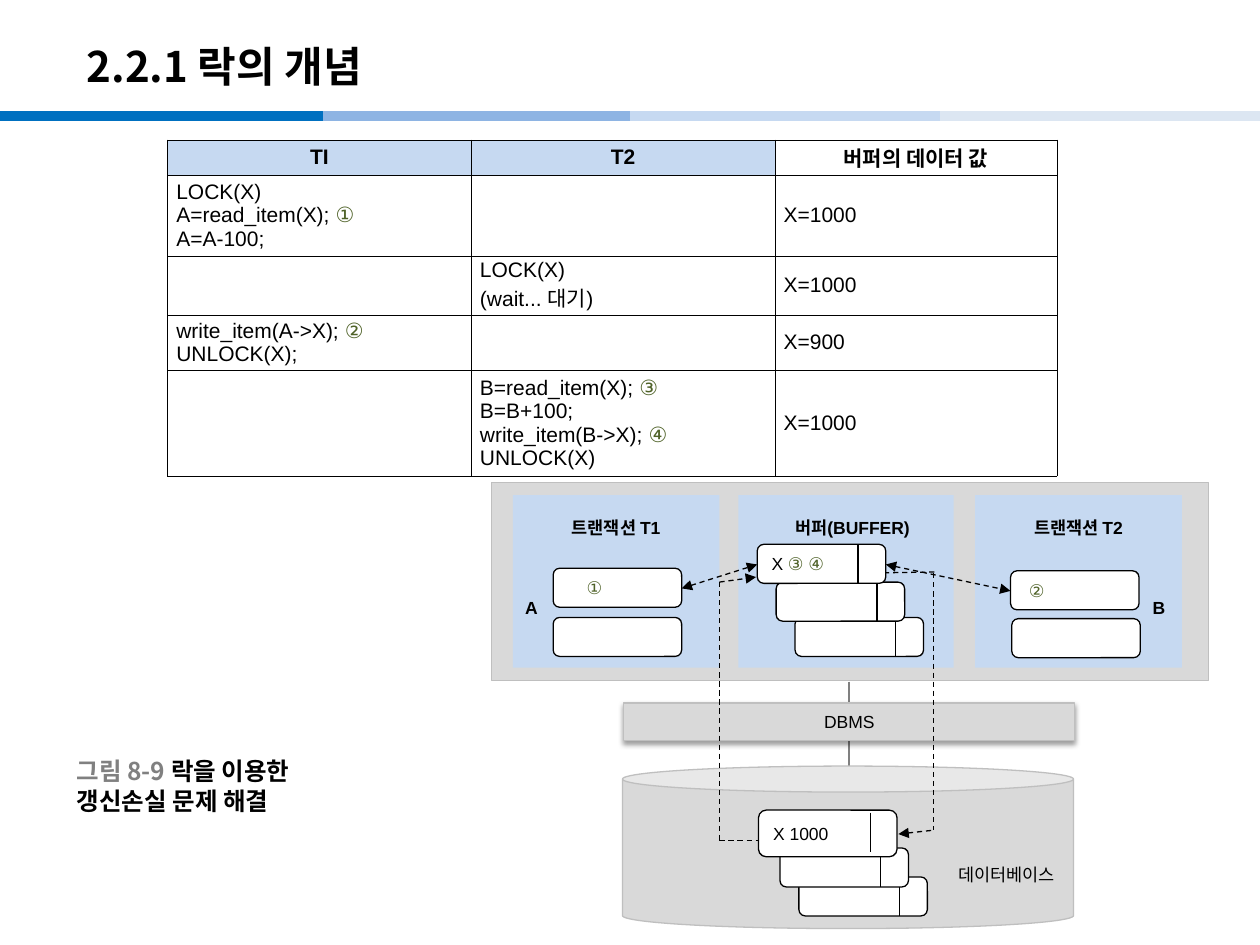
from itertools import groupby

from lxml.etree import SubElement
from pptx import Presentation
from pptx.dml.color import RGBColor
from pptx.enum.shapes import MSO_CONNECTOR, MSO_SHAPE
from pptx.enum.text import MSO_ANCHOR, PP_ALIGN
from pptx.oxml import parse_xml
from pptx.oxml.ns import nsdecls, qn
from pptx.util import Inches, Pt

COLORS = {
    "black": "000000", "white": "FFFFFF", "mark": "4F6228", "gray": "808080",
    "panel": "D9D9D9", "edge": "BFBFBF", "pale": "C6D9F1",
    "band1": "0070C0", "band2": "8EB4E3", "band4": "DCE6F2",
}
LATIN, KOREAN = "Arial", "Noto Sans CJK KR"
MARKS = "①②③④"


def rgb(name):
    """Return the palette colour with this name."""
    return RGBColor.from_string(COLORS[name])


class SlideBuilder:
    """Hold the shared style and add elements to the current slide."""

    def __init__(self, page):
        """Keep the page that receives the elements."""
        self.page = page

    def add_spans(self, para, text, size=10, bold=False, color="black", font=LATIN):
        """Add text as runs, with circled step marks in their own colour."""
        for marked, letters in groupby(text, key=lambda letter: letter in MARKS):
            span = para.add_run()
            span.text = "".join(letters)
            span.font.size = Pt(size)
            span.font.bold = bold
            span.font.name = font
            span.font.color.rgb = rgb("mark" if marked else color)
            SubElement(span.font._element, qn("a:ea"), typeface=KOREAN)

    def text(self, left, top, width, height, spans, anchor=MSO_ANCHOR.TOP,
             align=PP_ALIGN.LEFT, wrap=False):
        """Add a text box from (text, style) pairs."""
        box = self.page.shapes.add_textbox(*map(Inches, (left, top, width, height)))
        frame = box.text_frame
        frame.word_wrap = wrap
        frame.vertical_anchor = anchor
        para = frame.paragraphs[0]
        para.alignment = align
        for text, style in spans:
            self.add_spans(para, text, **style)

    def shape(self, kind, left, top, width, height, fill, line=None, weight=0.75):
        """Add a filled preset shape without shadow."""
        box = self.page.shapes.add_shape(kind, *map(Inches, (left, top, width, height)))
        box.shadow.inherit = False
        box.fill.solid()
        box.fill.fore_color.rgb = rgb(fill)
        if line:
            box.line.color.rgb = rgb(line)
            box.line.width = Pt(weight)
        else:
            box.line.fill.background()
        return box

    def drop_shadow(self, box):
        """Give a shape a soft shadow below it."""
        effects = box._element.spPr.find(qn("a:effectLst"))
        effects.append(parse_xml(
            f'<a:outerShdw {nsdecls("a")} blurRad="{Pt(3.1)}" dist="{Pt(1.6)}" '
            'dir="5400000" rotWithShape="0"><a:srgbClr val="000000">'
            '<a:alpha val="38000"/></a:srgbClr></a:outerShdw>'))

    def panel(self, left, width, title, indent=0.1):
        """Add a pale panel with a bold heading near its top."""
        box = self.shape(MSO_SHAPE.RECTANGLE, left, 3.93, width, 1.37, "pale")
        frame = box.text_frame
        frame.vertical_anchor = MSO_ANCHOR.TOP
        frame.margin_top = Inches(0.17)
        frame.margin_left = Inches(indent)
        frame.paragraphs[0].alignment = PP_ALIGN.CENTER
        self.add_spans(frame.paragraphs[0], title, bold=True)

    def card(self, left, top, label="", indent=0.1, width=1.02, height=0.31):
        """Add a rounded white card with an optional label."""
        box = self.shape(MSO_SHAPE.ROUNDED_RECTANGLE, left, top, width, height,
                         "white", "black")
        if label:
            frame = box.text_frame
            frame.word_wrap = False
            frame.vertical_anchor = MSO_ANCHOR.MIDDLE
            frame.margin_left = Inches(indent)
            frame.paragraphs[0].alignment = PP_ALIGN.LEFT
            self.add_spans(frame.paragraphs[0], label)

    def record(self, left, top, label=""):
        """Add a card with a divider near its right end."""
        self.card(left, top, label)
        self.line(left + 0.8, top, left + 0.8, top + 0.31)

    def line(self, x1, y1, x2, y2, color="black", weight=0.75, dash=False,
             head=False, tail=False):
        """Add a straight line with optional dashes and arrowheads."""
        link = self.page.shapes.add_connector(
            MSO_CONNECTOR.STRAIGHT, *map(Inches, (x1, y1, x2, y2)))
        link.line.color.rgb = rgb(color)
        link.line.width = Pt(weight)
        outline = link._element.spPr.find(qn("a:ln"))
        if dash:
            SubElement(outline, qn("a:prstDash"), val="dash")
        for wanted, tag in ((head, "a:headEnd"), (tail, "a:tailEnd")):
            if wanted:
                SubElement(outline, qn(tag), type="triangle")
        SubElement(link._element.spPr, qn("a:effectLst"))

    def table(self, left, top, widths, heights, rows):
        """Add a bordered table whose first row is a header."""
        frame = self.page.shapes.add_table(
            len(rows), len(widths), Inches(left), Inches(top),
            Inches(sum(widths)), Inches(sum(heights)))
        grid = frame.table
        for column, width in zip(grid.columns, widths):
            column.width = Inches(width)
        for row, height in zip(grid.rows, heights):
            row.height = Inches(height)
        for i, row in enumerate(rows):
            for j, text in enumerate(row):
                self.cell(grid.cell(i, j), text, i == 0, i == 0 and j < 2)

    def cell(self, cell, text, header, shaded):
        """Style one table cell and fill in its lines."""
        cell.margin_left = cell.margin_right = Inches(0.07)
        cell.margin_top = cell.margin_bottom = Inches(0.02)
        cell.vertical_anchor = MSO_ANCHOR.MIDDLE
        for side in "LRTB":
            cell._tc.get_or_add_tcPr().append(parse_xml(
                f'<a:ln{side} {nsdecls("a")} w="{Pt(0.28)}"><a:solidFill>'
                f'<a:srgbClr val="{COLORS["black"]}"/></a:solidFill></a:ln{side}>'))
        if shaded:
            cell.fill.solid()
            cell.fill.fore_color.rgb = rgb("pale")
        else:
            cell.fill.background()
        for k, line in enumerate(text.split("\n")):
            para = cell.text_frame.paragraphs[0] if k == 0 else cell.text_frame.add_paragraph()
            para.alignment = PP_ALIGN.CENTER if header else PP_ALIGN.JUSTIFY
            para.font.size = Pt(12)
            self.add_spans(para, line, size=12, bold=header)


def main():
    """Build the slide on the lock concept."""
    deck = Presentation()
    deck.slide_width, deck.slide_height = Inches(10), Inches(7.5)
    slide = SlideBuilder(deck.slides.add_slide(deck.slide_layouts[6]))

    for start, color in ((0, "band1"), (2.56, "band2"), (5, "pale"), (7.46, "band4")):
        slide.line(start, 0.92, min(start + 2.56, 10), 0.92, color, 6)
    heading = {"bold": True, "font": KOREAN}
    slide.text(0.59, 0.22, 8.27, 0.6, [("2.2.1 락의 개념", {"size": 24, **heading})],
               MSO_ANCHOR.MIDDLE, wrap=True)
    slide.table(1.33, 1.11, (2.41, 2.41, 2.24), (0.28, 0.6, 0.47, 0.41, 0.79), (
        ("TI", "T2", "버퍼의 데이터 값"),
        ("LOCK(X)\nA=read_item(X); ①\nA=A-100;", "", "X=1000"),
        ("", "LOCK(X)\n(wait... 대기)", "X=1000"),
        ("write_item(A->X); ②\nUNLOCK(X);", "", "X=900"),
        ("", "B=read_item(X); ③\nB=B+100;\nwrite_item(B->X); ④\nUNLOCK(X)", "X=1000"),
    ))
    slide.text(0.51, 6.08, 2.05, 0.31, [
        ("그림 8-9 ", {"size": 14, "color": "gray", **heading}),
        ("락을 이용한 갱신손실 문제 해결", {"size": 14, **heading}),
    ], MSO_ANCHOR.MIDDLE)

    slide.line(6.74, 5.41, 6.74, 6.08, "gray", 1)
    dbms = slide.shape(MSO_SHAPE.RECTANGLE, 4.95, 5.58, 3.58, 0.3, "panel", "edge")
    slide.drop_shadow(dbms)
    dbms.text_frame.paragraphs[0].alignment = PP_ALIGN.CENTER
    slide.add_spans(dbms.text_frame.paragraphs[0], "DBMS")
    database = slide.shape(MSO_SHAPE.CAN, 4.94, 6.08, 3.58, 1.29, "panel", "edge")
    database.adjustments[0] = 0.16
    slide.shape(MSO_SHAPE.RECTANGLE, 3.9, 3.83, 5.69, 1.57, "panel", "edge", 0.5)
    slide.panel(5.86, 1.71, "버퍼(BUFFER)", indent=0.2)
    slide.text(7.44, 6.81, 1.09, 0.44, [("데이터베이스", {})], align=PP_ALIGN.CENTER)
    for left, top in ((6.31, 4.9), (6.16, 4.62), (6.34, 6.96), (6.19, 6.73)):
        slide.record(left, top)

    slide.panel(7.74, 1.64, "트랜잭션 T2")
    slide.panel(4.07, 1.64, "트랜잭션 T1")
    slide.card(4.39, 4.51, "①", 0.25)
    slide.card(4.39, 4.9)
    slide.card(8.02, 4.53, "②", 0.13)
    slide.card(8.03, 4.91)
    for left, name in ((9.05, "B"), (4.07, "A")):
        slide.text(left, 4.69, 0.3, 0.27, [(name, {"bold": True})])

    for x1, y1, x2, y2, head, tail in (
        (5.41, 4.67, 6.01, 4.48, True, True),
        (7.03, 4.48, 8.02, 4.69, True, True),
        (5.71, 4.62, 6, 4.58, False, True),
        (5.71, 4.62, 5.71, 6.67, False, False),
        (5.71, 6.67, 6.18, 6.67, False, False),
        (6.73, 4.55, 7.42, 4.54, False, False),
        (7.41, 4.55, 7.41, 6.59, False, False),
        (7.13, 6.62, 7.4, 6.59, True, False),
    ):
        slide.line(x1, y1, x2, y2, dash=True, head=head, tail=tail)
    slide.card(6.02, 6.43, "X 1000", width=1.1, height=0.37)
    slide.line(6.91, 6.45, 6.91, 6.76)
    slide.record(6.01, 4.32, "X ③ ④")
    deck.save("out.pptx")


if __name__ == "__main__":
    main()
